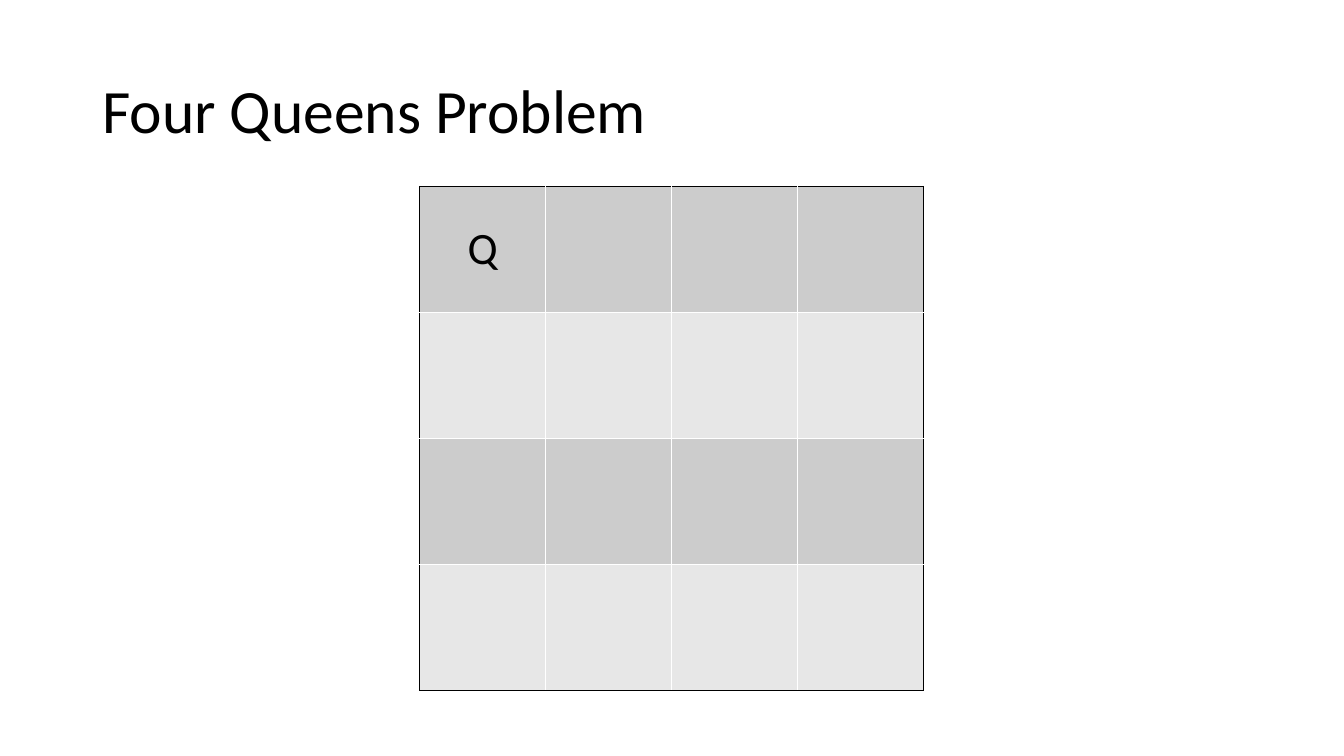
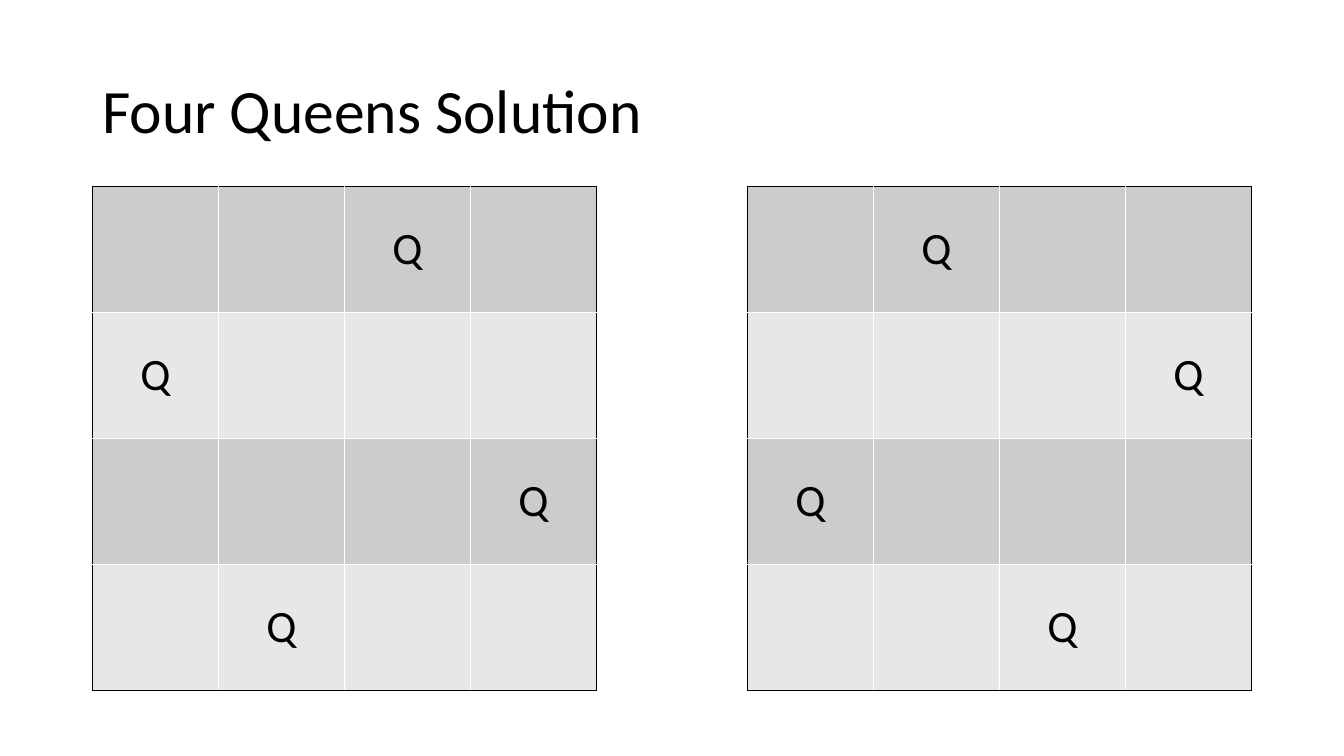
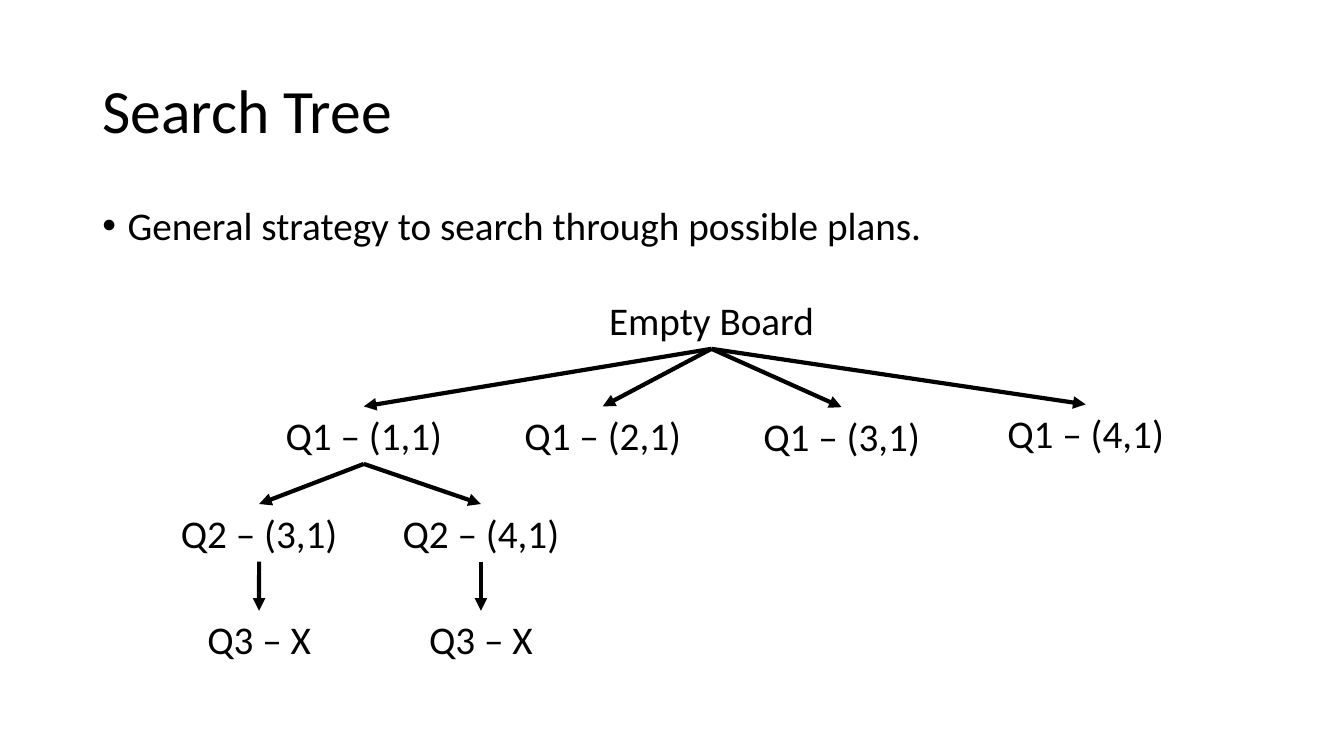
from dataclasses import dataclass

from lxml import etree
from pptx import Presentation
from pptx.dml.color import RGBColor
from pptx.enum.shapes import MSO_CONNECTOR
from pptx.enum.text import MSO_ANCHOR, PP_ALIGN
from pptx.oxml.ns import qn
from pptx.presentation import Presentation as Deck
from pptx.shapes.autoshape import Shape
from pptx.slide import Slide
from pptx.table import _Cell as Cell
from pptx.text.text import _Paragraph as Paragraph
from pptx.util import Cm, Length, Pt

STRAIGHT = MSO_CONNECTOR.STRAIGHT
TOP, MIDDLE = MSO_ANCHOR.TOP, MSO_ANCHOR.MIDDLE
LEFT, CENTER = PP_ALIGN.LEFT, PP_ALIGN.CENTER

BLACK = RGBColor(0x00, 0x00, 0x00)
WHITE = RGBColor(0xFF, 0xFF, 0xFF)
DARK_ROW = RGBColor(0xCC, 0xCC, 0xCC)
LIGHT_ROW = RGBColor(0xE7, 0xE7, 0xE7)

FONT = "Calibri"
TITLE_SIZE, QUEEN_SIZE, BODY_SIZE = Pt(44), Pt(32), Pt(28)
LINE_SPACING = 0.9

BLANK_LAYOUT = 6
MARGIN, CONTENT_WIDTH = Cm(2.33), Cm(29.21)
BOARD_COUNT = 4
BOARD_TOP, BOARD_SIZE = Cm(4.7), Cm(12.7)
NODE_HEIGHT = Cm(1.45)
BULLET_INDENT = Cm(0.64)
BOTTOM_SITE, TOP_SITE = 2, 0


@dataclass(frozen=True)
class Board:
    """A chess board; queens holds (row, column) pairs."""
    left: Length
    queens: tuple[tuple[int, int], ...]


@dataclass(frozen=True)
class Node:
    """A search state, placed by the middle of its top edge."""
    text: str
    center: float
    top: float
    width: float = 4.52
    children: tuple["Node", ...] = ()


BOARD_SLIDES = {
    "Four Queens Problem": (Board(Cm(10.58), ((0, 0),)),),
    "Four Queens Solution": (
        Board(MARGIN, ((0, 2), (1, 0), (2, 3), (3, 1))),
        Board(Cm(18.84), ((0, 1), (1, 3), (2, 0), (3, 2))),
    ),
}

SEARCH_TREE = Node("Empty Board", 17.93, 7.34, 7.14, (
    Node("Q1 – (1,1)", 9.17, 10.24, children=(
        Node("Q2 – (3,1)", 6.53, 12.7, 5.23, (Node("Q3 – X", 6.53, 15.39),)),
        Node("Q2 – (4,1)", 12.12, 12.7, children=(Node("Q3 – X", 12.12, 15.39),)),
    )),
    Node("Q1 – (2,1)", 15.19, 10.24),
    Node("Q1 – (3,1)", 21.21, 10.26),
    Node("Q1 – (4,1)", 27.36, 10.19),
))


def format_runs(paragraph: Paragraph, size: Length) -> None:
    for run in paragraph.runs:
        run.font.name = FONT
        run.font.size = size
        run.font.color.rgb = BLACK


def add_text(slide: Slide, text: str, left: Length, top: Length, width: Length,
             height: Length, size: Length, alignment: PP_ALIGN = LEFT,
             anchor: MSO_ANCHOR = TOP) -> Shape:
    box = slide.shapes.add_textbox(left, top, width, height)
    frame = box.text_frame
    frame.word_wrap = True
    frame.vertical_anchor = anchor
    frame.text = text
    paragraph = frame.paragraphs[0]
    paragraph.alignment = alignment
    format_runs(paragraph, size)
    return box


def add_titled_slide(presentation: Deck, title: str) -> Slide:
    slide = presentation.slides.add_slide(presentation.slide_layouts[BLANK_LAYOUT])
    box = add_text(slide, title, MARGIN, Cm(1.01), CONTENT_WIDTH, Cm(3.68),
                   TITLE_SIZE, anchor=MIDDLE)
    box.text_frame.paragraphs[0].line_spacing = LINE_SPACING
    return slide


def add_bullet(slide: Slide, text: str) -> None:
    box = add_text(slide, text, MARGIN, Cm(5.07), CONTENT_WIDTH, Cm(12.09), BODY_SIZE)
    paragraph = box.text_frame.paragraphs[0]
    paragraph.line_spacing = LINE_SPACING
    properties = paragraph._p.get_or_add_pPr()
    properties.set("marL", str(BULLET_INDENT))
    properties.set("indent", str(-BULLET_INDENT))
    etree.SubElement(properties, qn("a:buFont"), typeface="Arial")
    etree.SubElement(properties, qn("a:buChar"), char="•")


def set_borders(cell: Cell, row: int, column: int) -> None:
    """Draw black lines on the board's rim and white lines inside it."""
    last = BOARD_COUNT - 1
    on_rim = {"lnL": column == 0, "lnR": column == last,
              "lnT": row == 0, "lnB": row == last}
    properties = cell._tc.get_or_add_tcPr()
    for side, is_rim in on_rim.items():
        line = etree.SubElement(properties, qn(f"a:{side}"), w=str(Pt(1)))
        fill = etree.SubElement(line, qn("a:solidFill"))
        etree.SubElement(fill, qn("a:srgbClr"), val=str(BLACK if is_rim else WHITE))


def add_board(slide: Slide, board: Board) -> None:
    table = slide.shapes.add_table(BOARD_COUNT, BOARD_COUNT, board.left, BOARD_TOP,
                                   BOARD_SIZE, BOARD_SIZE).table
    table.first_row = False
    table.horz_banding = False
    for row in range(BOARD_COUNT):
        for column in range(BOARD_COUNT):
            cell = table.cell(row, column)
            set_borders(cell, row, column)
            cell.fill.solid()
            cell.fill.fore_color.rgb = LIGHT_ROW if row % 2 else DARK_ROW
            cell.vertical_anchor = MIDDLE
            if (row, column) in board.queens:
                cell.text_frame.text = "Q"
                paragraph = cell.text_frame.paragraphs[0]
                paragraph.alignment = CENTER
                format_runs(paragraph, QUEEN_SIZE)


def add_arrow(slide: Slide, parent: Shape, child: Shape) -> None:
    arrow = slide.shapes.add_connector(STRAIGHT, 0, 0, 0, 0)
    arrow.begin_connect(parent, BOTTOM_SITE)
    arrow.end_connect(child, TOP_SITE)
    arrow.line.color.rgb = BLACK
    arrow.line.width = Pt(3)
    properties = arrow._element.spPr
    etree.SubElement(properties.find(qn("a:ln")), qn("a:tailEnd"), type="triangle")
    etree.SubElement(properties, qn("a:effectLst"))


def add_tree(slide: Slide, node: Node) -> Shape:
    """Draw a node and everything below it; return the node's box."""
    box = add_text(slide, node.text, Cm(node.center - node.width / 2), Cm(node.top),
                   Cm(node.width), NODE_HEIGHT, BODY_SIZE, CENTER)
    for child in node.children:
        add_arrow(slide, box, add_tree(slide, child))
    return box


def main() -> None:
    presentation = Presentation()
    presentation.slide_width = Cm(33.87)
    presentation.slide_height = Cm(19.05)

    for title, boards in BOARD_SLIDES.items():
        slide = add_titled_slide(presentation, title)
        for board in boards:
            add_board(slide, board)

    slide = add_titled_slide(presentation, "Search Tree")
    add_bullet(slide, "General strategy to search through possible plans.")
    add_tree(slide, SEARCH_TREE)

    presentation.save("out.pptx")


if __name__ == "__main__":
    main()
